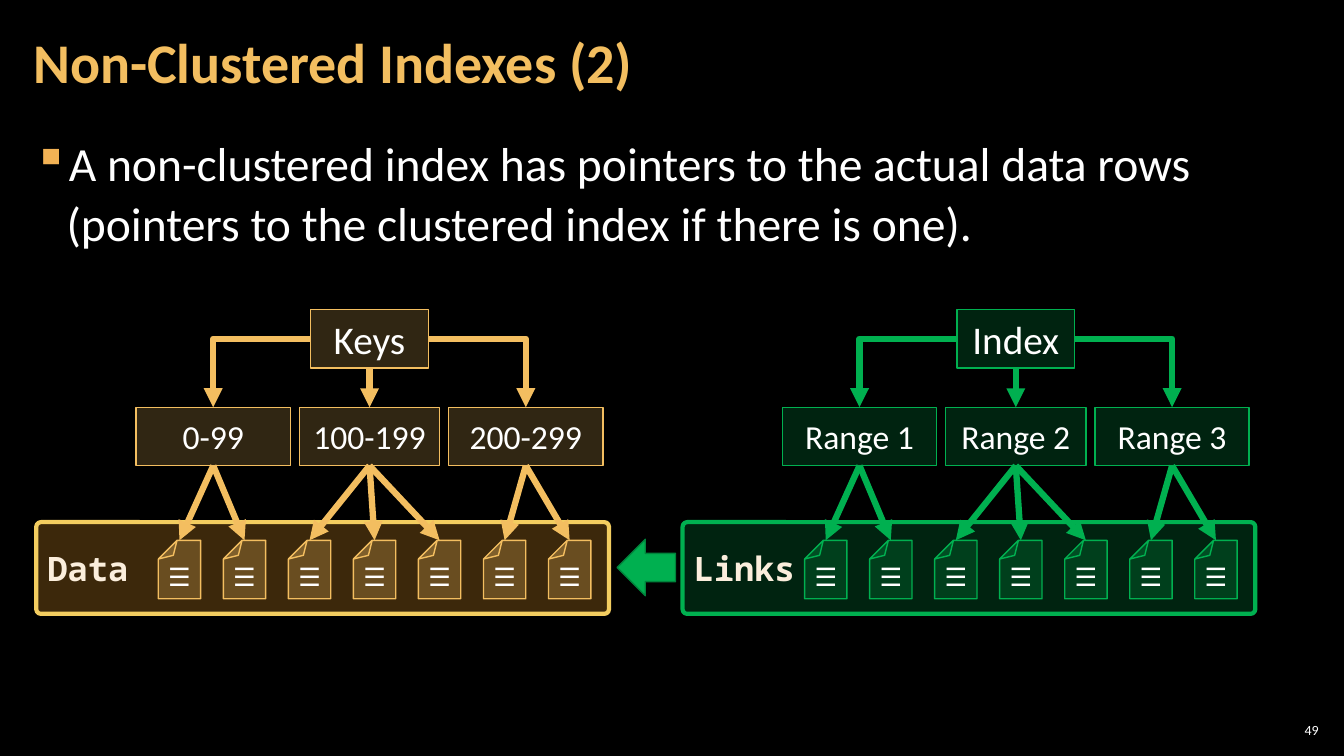
import pptx
import pptx.dml.color
import pptx.enum.shapes
import pptx.enum.text
import pptx.oxml
import pptx.oxml.ns
import pptx.util

Inches = pptx.util.Inches
Kind = pptx.enum.shapes.MSO_SHAPE
Wire = pptx.enum.shapes.MSO_CONNECTOR
Align = pptx.enum.text.PP_ALIGN
Anchor = pptx.enum.text.MSO_ANCHOR
qn = pptx.oxml.ns.qn

# Content
TITLE = "Non-Clustered Indexes (2)"
POINT = ("A non-clustered index has pointers to the actual data rows "
         "(pointers to the clustered index if there is one).")
PAGE_NUMBER = "49"
GOLD, GREEN, WHITE, CREAM = "F3BE60", "00B050", "FFFFFF", "FBEEDC"
SANS, MONO = "Calibri", "Noto Sans Mono"
TREES = [
    {"left": 0.36, "root": "Keys", "ranges": ["0-99", "100-199", "200-299"],
     "bar": "Data", "color": GOLD, "bar_fill": "F0A22E", "bar_line": "F3CD60", "leaf_alpha": 25},
    {"left": 6.77, "root": "Index", "ranges": ["Range 1", "Range 2", "Range 3"],
     "bar": "Links", "color": GREEN, "bar_fill": GREEN, "bar_line": GREEN, "leaf_alpha": 20},
]

# Tree measures, horizontal ones counted from the left edge of the bar
RANGE_SPANS = [(0.99, 1.53), (2.61, 1.39), (4.09, 1.53)]
LEAF_COUNTS = [2, 3, 2]
ROOT_LEFT, ROOT_WIDTH, ROOT_TOP = 2.72, 1.17, 3.07
RANGE_TOP, BOX_HEIGHT = 4.04, 0.58
BAR_TOP, BAR_WIDTH, BAR_HEIGHT = 5.18, 5.68, 0.91
LEAF_LEFT, LEAF_STEP, LEAF_TOP = 1.21, 3.87 / 6, 5.36
LEAF_WIDTH, LEAF_HEIGHT = 0.42, 0.58
SIGN_WIDTH, SIGN_TOP, SIGN_HEIGHT = 0.67, 5.52, 0.4


def rgb(code):
    return pptx.dml.color.RGBColor.from_string(code)


def element(tag, **attributes):
    node = pptx.oxml.parse_xml(f'<a:{tag} {pptx.oxml.ns.nsdecls("a")}/>')
    for name, value in attributes.items():
        node.set(name, str(value))
    return node


def write(shape, text, size, font=SANS, color=WHITE, bold=False,
          align=Align.LEFT, anchor=Anchor.MIDDLE, insets=(0.1, 0.05)):
    frame = shape.text_frame
    across, down = (Inches(inset) for inset in insets)
    frame_format = {"word_wrap": True, "auto_size": pptx.enum.text.MSO_AUTO_SIZE.NONE,
                    "vertical_anchor": anchor, "margin_left": across, "margin_right": across,
                    "margin_top": down, "margin_bottom": down}
    for name, value in frame_format.items():
        setattr(frame, name, value)
    para = frame.paragraphs[0]
    para.alignment = align
    span = para.add_run()
    span.text = text
    for name, value in {"size": pptx.util.Pt(size), "name": font, "bold": bold}.items():
        setattr(span.font, name, value)
    span.font.color.rgb = rgb(color)
    return para


def add_box(page, kind, at, fill, line, width=1, alpha=100):
    box = page.shapes.add_shape(kind, *map(Inches, at))
    box.shadow.inherit = False
    box.fill.solid()
    box.fill.fore_color.rgb = rgb(fill)
    if alpha < 100:
        tint = box._element.spPr.find(qn("a:solidFill")).find(qn("a:srgbClr"))
        tint.append(element("alpha", val=alpha * 1000))
    box.line.color.rgb = rgb(line)
    box.line.width = pptx.util.Pt(width)
    return box


def add_text(page, at, *args, **options):
    return write(page.shapes.add_textbox(*map(Inches, at)), *args, **options)


def add_arrow(page, start, end, color, source, site, target=None, bent=False):
    arrow = page.shapes.add_connector(Wire.ELBOW if bent else Wire.STRAIGHT,
                                      *map(Inches, start + end))
    arrow.begin_connect(source, site)
    if target is not None:
        arrow.end_connect(target, 0)
    arrow.line.color.rgb = rgb(color)
    arrow.line.width = pptx.util.Pt(4.5)
    properties = arrow._element.spPr
    if bent:
        properties.find(qn("a:prstGeom")).set("prst", "bentConnector2")
    properties.find(qn("a:ln")).append(element("tailEnd", type="triangle"))
    properties.append(element("effectLst"))


def add_leaf(page, left, color, alpha):
    leaf = add_box(page, Kind.FOLDED_CORNER, (left, LEAF_TOP, LEAF_WIDTH, LEAF_HEIGHT),
                   color, color, alpha=alpha)
    leaf.rotation = 180
    # Deeper fold, set in the geometry itself
    geometry = leaf._element.spPr.find(qn("a:prstGeom"))
    for child in list(geometry):
        geometry.remove(child)
    guides = element("avLst")
    guides.append(element("gd", name="adj", fmla="val 44200"))
    geometry.append(guides)
    sign_left = left + (LEAF_WIDTH - SIGN_WIDTH) / 2
    add_text(page, (sign_left, SIGN_TOP, SIGN_WIDTH, SIGN_HEIGHT), "☰", 18, MONO,
             bold=True, align=Align.CENTER, anchor=Anchor.TOP)


def add_tree(page, tree):
    left, color = tree["left"], tree["color"]

    # Root box
    root_left = left + ROOT_LEFT
    root = add_box(page, Kind.RECTANGLE, (root_left, ROOT_TOP, ROOT_WIDTH, BOX_HEIGHT),
                   color, color, alpha=20)
    write(root, tree["root"], 28, align=Align.CENTER)

    # Bar with its row of leaf pages
    bar = add_box(page, Kind.ROUNDED_RECTANGLE, (left, BAR_TOP, BAR_WIDTH, BAR_HEIGHT),
                  tree["bar_fill"], tree["bar_line"], 3, tree["leaf_alpha"])
    bar.adjustments[0] = 0.05
    write(bar, tree["bar"], 24, MONO, CREAM, True)
    leaf_lefts = [left + LEAF_LEFT + index * LEAF_STEP for index in range(sum(LEAF_COUNTS))]
    for leaf_left in leaf_lefts:
        add_leaf(page, leaf_left, color, tree["leaf_alpha"])

    # Range boxes
    ranges = []
    for text, (offset, width) in zip(tree["ranges"], RANGE_SPANS):
        box = add_box(page, Kind.RECTANGLE, (left + offset, RANGE_TOP, width, BOX_HEIGHT),
                      color, color, alpha=20)
        write(box, text, 24, align=Align.CENTER)
        ranges.append((box, left + offset + width / 2))

    # Arrows from root to ranges: left side, bottom, right side
    side = ROOT_TOP + BOX_HEIGHT / 2
    starts = [(root_left, side), (root_left + ROOT_WIDTH / 2, ROOT_TOP + BOX_HEIGHT),
              (root_left + ROOT_WIDTH, side)]
    for (box, middle), start, site in zip(ranges, starts, (1, 2, 3)):
        add_arrow(page, start, (middle, RANGE_TOP), color, root, site, box, bent=site != 2)

    # Arrows from ranges to leaf pages
    targets = iter(leaf_lefts)
    for (box, middle), count in zip(ranges, LEAF_COUNTS):
        for _ in range(count):
            tip = (next(targets) + LEAF_WIDTH / 2, LEAF_TOP)
            add_arrow(page, (middle, RANGE_TOP + BOX_HEIGHT), tip, color, box, 2)


def main():
    deck = pptx.Presentation()
    deck.slide_width, deck.slide_height = Inches(13.33), Inches(7.5)
    page = deck.slides.add_slide(deck.slide_layouts[5])
    page.background.fill.solid()
    page.background.fill.fore_color.rgb = rgb("000000")

    # Title
    title = page.shapes.title
    for name, value in zip(("left", "top", "width", "height"), (0.21, 0.04, 10.47, 1.21)):
        setattr(title, name, Inches(value))
    write(title, TITLE, 40, color=GOLD, bold=True, insets=(0.12, 0.04)).line_spacing = 0.9

    # Bullet point
    para = add_text(page, (0.21, 1.26, 12.91, 1.5), POINT, 34,
                    anchor=Anchor.TOP, insets=(0.12, 0.04))
    para.line_spacing = 1.05
    para.space_before = para.space_after = pptx.util.Pt(6)
    properties = para._p.get_or_add_pPr()
    properties.set("marL", str(Inches(0.33)))
    properties.set("indent", str(-Inches(0.33)))
    bullet_color = element("buClr")
    bullet_color.append(element("srgbClr", val="F2B254"))
    properties.append(bullet_color)
    properties.append(element("buChar", char="▪"))

    # Both trees, the arrow between them and the page number
    for tree in TREES:
        add_tree(page, tree)
    add_box(page, Kind.RIGHT_ARROW, (6.12, 5.35, 0.58, 0.56), GREEN, "00843C").rotation = 180
    add_text(page, (12.65, 7.14, 0.47, 0.21), PAGE_NUMBER, 10,
             align=Align.RIGHT, insets=(0.04, 0.04))

    deck.save("out.pptx")


if __name__ == "__main__":
    main()
